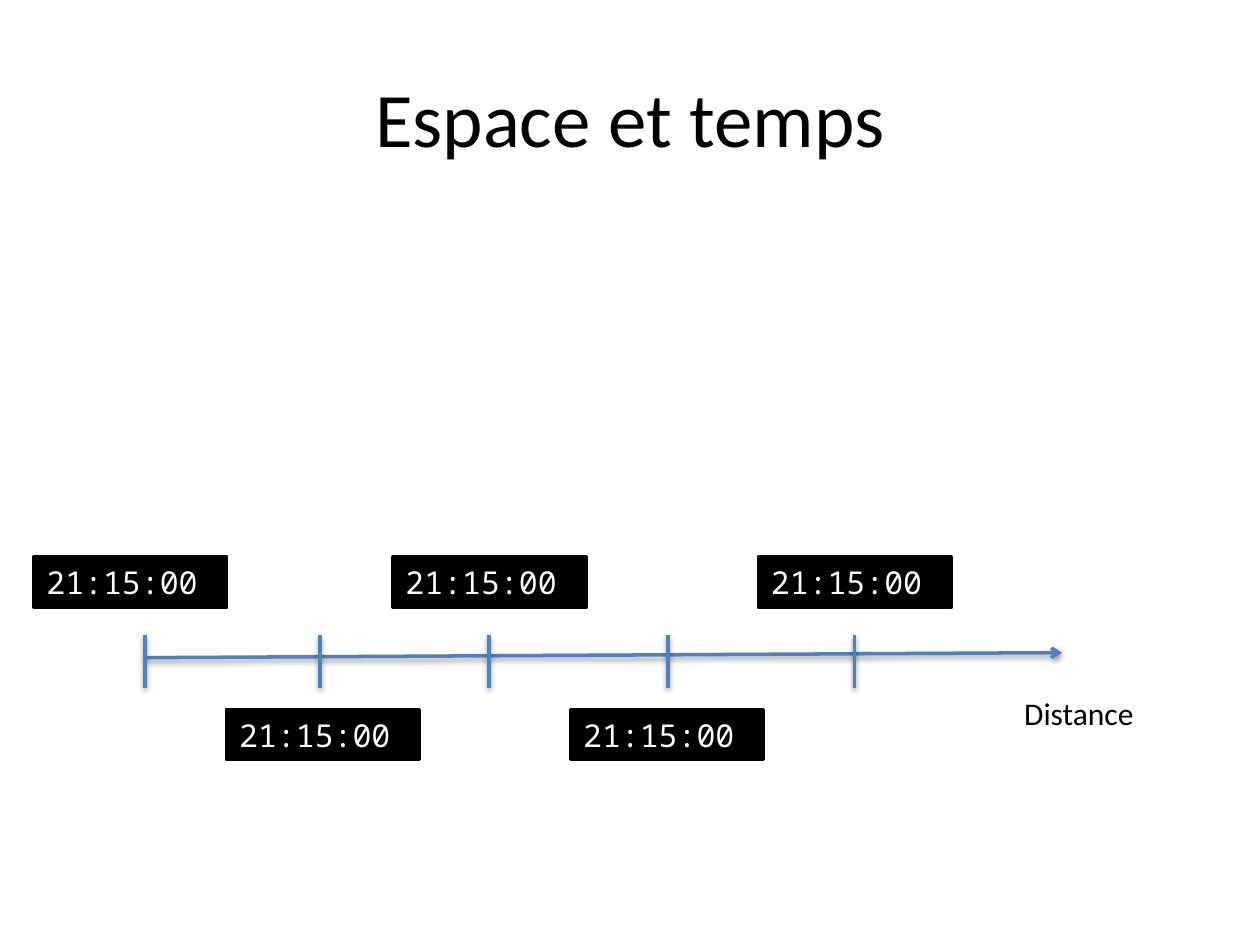
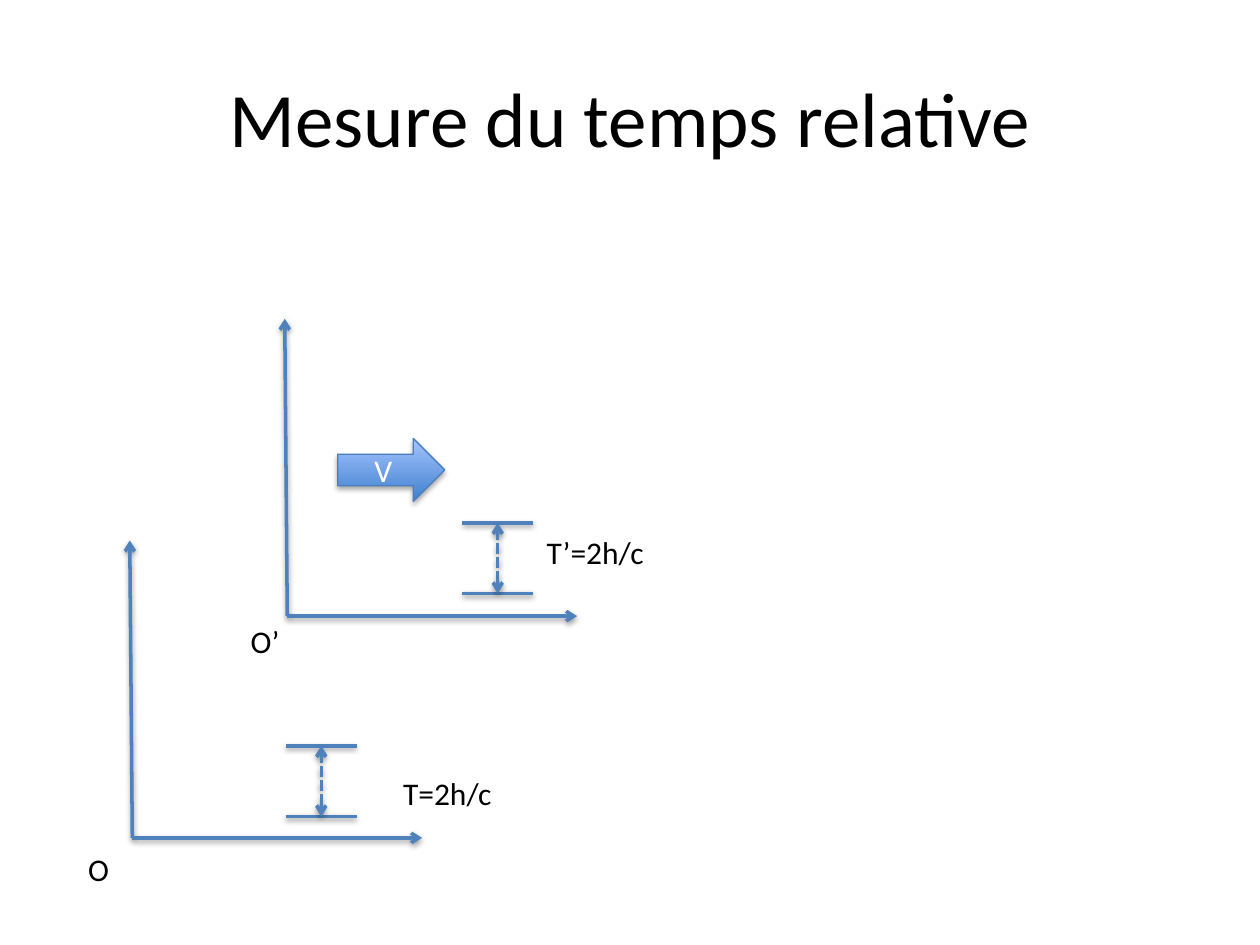
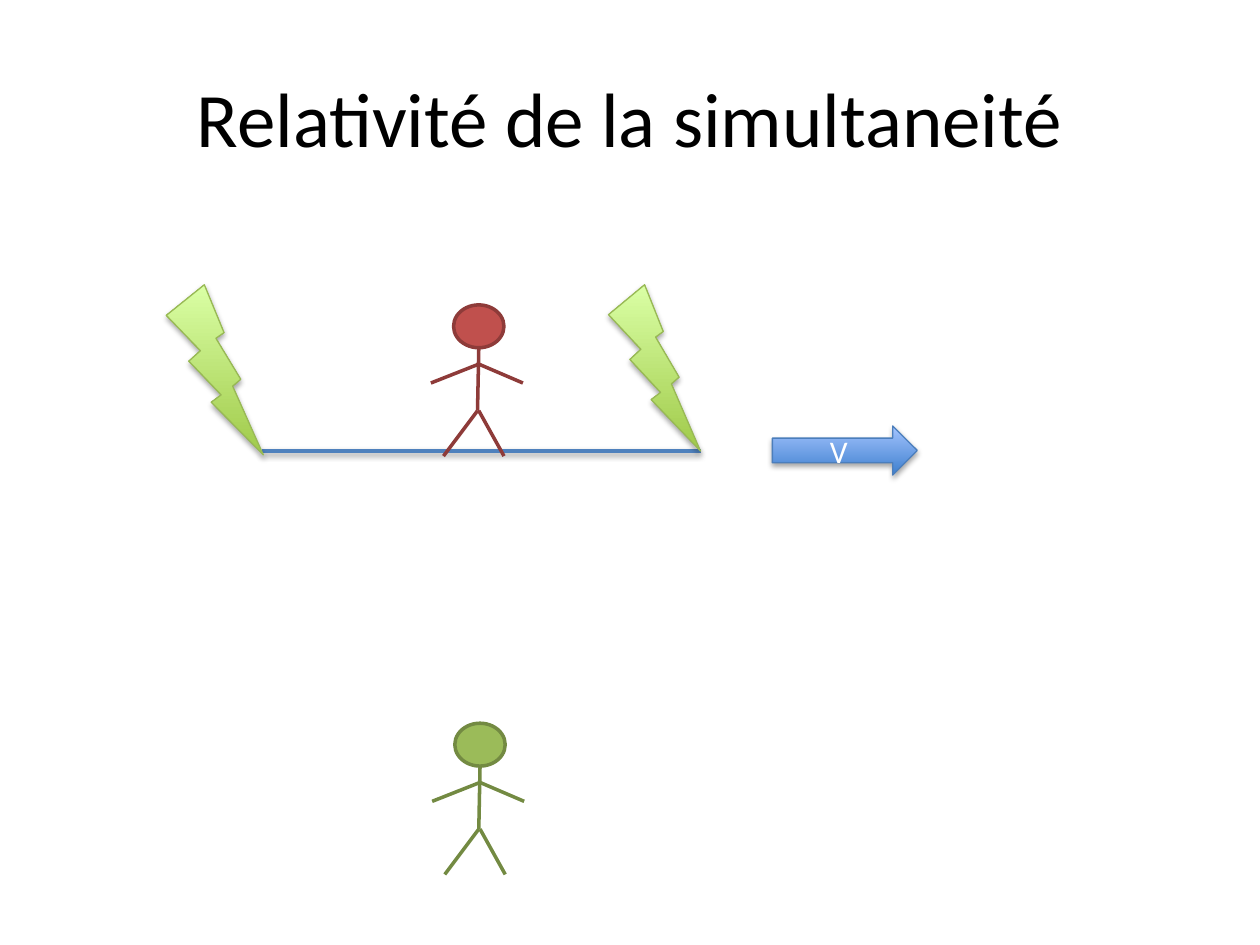
from dataclasses import dataclass

from lxml.etree import SubElement
from pptx import Presentation
from pptx.dml.color import RGBColor as RGB
from pptx.enum.dml import MSO_LINE as DASH
from pptx.enum.shapes import MSO_CONNECTOR as LINK, MSO_SHAPE as KIND
from pptx.enum.text import MSO_ANCHOR as ANCHOR, MSO_AUTO_SIZE as FIT, PP_ALIGN as ALIGN
from pptx.oxml import parse_xml
from pptx.oxml.ns import nsdecls, qn
from pptx.util import Inches, Pt


@dataclass(frozen=True)
class Theme:
    font: str = "Calibri"
    mono: str = "Noto Sans Mono"
    title: int = 44
    body: int = 18
    thick: float = 2
    thin: float = 0.75
    black: str = "000000"
    white: str = "FFFFFF"
    blue: str = "4F81BD"
    arrow: tuple = ("3F80CE", "A4C4FF", "4B7EBC")
    bolt: tuple = ("A0CA4A", "DAFFA5", "98B955")
    green: tuple = ("9BBB59", "738A42")
    red: tuple = ("C0504D", "8E3B39")


T = Theme()
SHADOW = (
    f'<a:effectLst {nsdecls("a")}><a:outerShdw blurRad="40000" dist="{{}}" '
    'dir="5400000" rotWithShape="0"><a:srgbClr val="000000">'
    '<a:alpha val="{}"/></a:srgbClr></a:outerShdw></a:effectLst>'
)


def write(shape, text, size=T.body, color=T.black, font=T.font,
          align=ALIGN.LEFT, anchor=ANCHOR.TOP, fit=FIT.SHAPE_TO_FIT_TEXT):
    frame = shape.text_frame
    frame.word_wrap = True
    frame.auto_size = fit
    frame.vertical_anchor = anchor
    para = frame.paragraphs[0]
    para.alignment = align
    run = para.add_run()
    run.text = text
    run.font.size = Pt(size)
    run.font.name = font
    run.font.color.rgb = RGB.from_string(color)


def draw(host, start, end, color=T.blue, head=False, tail=False, dash=None, shade=True):
    """Add a straight line; head and tail put arrowheads at start and end."""
    link = host.shapes.add_connector(LINK.STRAIGHT, *map(Inches, (*start, *end)))
    link.line.color.rgb = RGB.from_string(color)
    link.line.width = Pt(T.thick)
    if dash:
        link.line.dash_style = dash
    props = link.element.spPr
    for tag, wanted in (("a:headEnd", head), ("a:tailEnd", tail)):
        if wanted:
            SubElement(props.find(qn("a:ln")), qn(tag), type="arrow")
    props.append(parse_xml(SHADOW.format(20000, 38000) if shade
                           else f'<a:effectLst {nsdecls("a")}/>'))


deck = Presentation()
deck.slide_width, deck.slide_height = Inches(10), Inches(7.5)
slides = []
for title in ("Espace et temps", "Mesure du temps relative", "Relativité de la simultaneité"):
    slide = deck.slides.add_slide(deck.slide_layouts[6])
    box = slide.shapes.add_textbox(*map(Inches, (0.5, 0.3, 9, 1.25)))
    write(box, title, size=T.title, align=ALIGN.CENTER, anchor=ANCHOR.MIDDLE, fit=FIT.NONE)
    slides.append(slide)
space, time, event = slides

# Clocks along the distance axis
draw(space, (1.15, 5.22), (8.43, 5.18), tail=True)
marks = ((1.15, 0.27), (2.54, 1.8), (3.88, 3.12), (5.3, 4.53), (6.78, 6.02))
for i, (tick, left) in enumerate(marks):
    draw(space, (tick, 5.46), (tick, 5.04))
    top = 5.63 if i % 2 else 4.42
    clock = space.shapes.add_textbox(*map(Inches, (left, top, 1.53, 0.4)))
    clock.fill.solid()
    clock.fill.fore_color.rgb = RGB.from_string(T.black)
    clock.line.color.rgb = RGB.from_string(T.black)
    clock.line.width = Pt(T.thick)
    write(clock, "21:15:00", color=T.white, font=T.mono)

# Two frames of reference, each with a light clock
for x, y in ((1.05, 6.65), (2.28, 4.89)):
    axes = time.shapes.add_group_shape()
    draw(axes, (x, y), (x - 0.02, y - 2.36), tail=True)
    draw(axes, (x, y), (x + 2.3, y), tail=True)

for x, y in ((2.27, 5.92), (3.67, 4.15)):
    low, mid = y + 0.56, x + 0.28
    for level in (y, low):
        draw(time, (x, level), (x + 0.56, level))
    draw(time, (mid, low), (mid, y), head=True, tail=True, dash=DASH.SQUARE_DOT)

labels = (
    (space, "Distance", 8.03, 5.46, 1.12),
    (time, "O", 0.6, 6.7, 0.55),
    (time, "O’", 1.89, 4.89, 0.55),
    (time, "T=2h/c", 3.1, 6.09, 0.98),
    (time, "T’=2h/c", 4.24, 4.18, 0.98),
)
for slide, text, left, top, width in labels:
    write(slide.shapes.add_textbox(*map(Inches, (left, top, width, 0.4))), text)

# Moving platform, lightning and velocity arrows
draw(event, (2.08, 3.58), (5.56, 3.58))
glossy = (
    (time, KIND.RIGHT_ARROW, (2.68, 3.48, 0.85, 0.5), T.arrow, "V"),
    (event, KIND.LIGHTNING_BOLT, (1.32, 2.26, 0.77, 1.35), T.bolt, ""),
    (event, KIND.LIGHTNING_BOLT, (4.83, 2.26, 0.73, 1.32), T.bolt, ""),
    (event, KIND.RIGHT_ARROW, (6.13, 3.38, 1.15, 0.39), T.arrow, "V"),
)
for slide, kind, area, (dark, light, edge), text in glossy:
    shape = slide.shapes.add_shape(kind, *map(Inches, area))
    shape.fill.gradient()
    shape.fill.gradient_angle = 90
    for stop, color in zip(shape.fill.gradient_stops, (dark, light)):
        stop.color.rgb = RGB.from_string(color)
    shape.line.color.rgb = RGB.from_string(edge)
    shape.line.width = Pt(T.thin)
    shape.element.spPr.append(parse_xml(SHADOW.format(23000, 35000)))
    if text:
        write(shape, text, color=T.white, align=ALIGN.CENTER,
              anchor=ANCHOR.MIDDLE, fit=FIT.NONE)

# Observers: limbs are offsets from the head's top left corner
limbs = (
    ((0.2, 0.34), (0.19, 0.84)),
    ((0.19, 0.84), (-0.08, 1.2)),
    ((0.2, 0.84), (0.4, 1.2)),
    ((-0.18, 0.62), (0.2, 0.47)),
    ((0.2, 0.47), (0.55, 0.62)),
)
for x, y, (skin, edge) in ((3.61, 5.74, T.green), (3.6, 2.42, T.red)):
    figure = event.shapes.add_group_shape()
    head = figure.shapes.add_shape(KIND.OVAL, *map(Inches, (x, y, 0.4, 0.34)))
    head.shadow.inherit = False
    head.fill.solid()
    head.fill.fore_color.rgb = RGB.from_string(skin)
    head.line.color.rgb = RGB.from_string(edge)
    head.line.width = Pt(T.thick)
    for (ax, ay), (bx, by) in limbs:
        draw(figure, (x + ax, y + ay), (x + bx, y + by), color=edge, shade=False)

deck.save("out.pptx")
